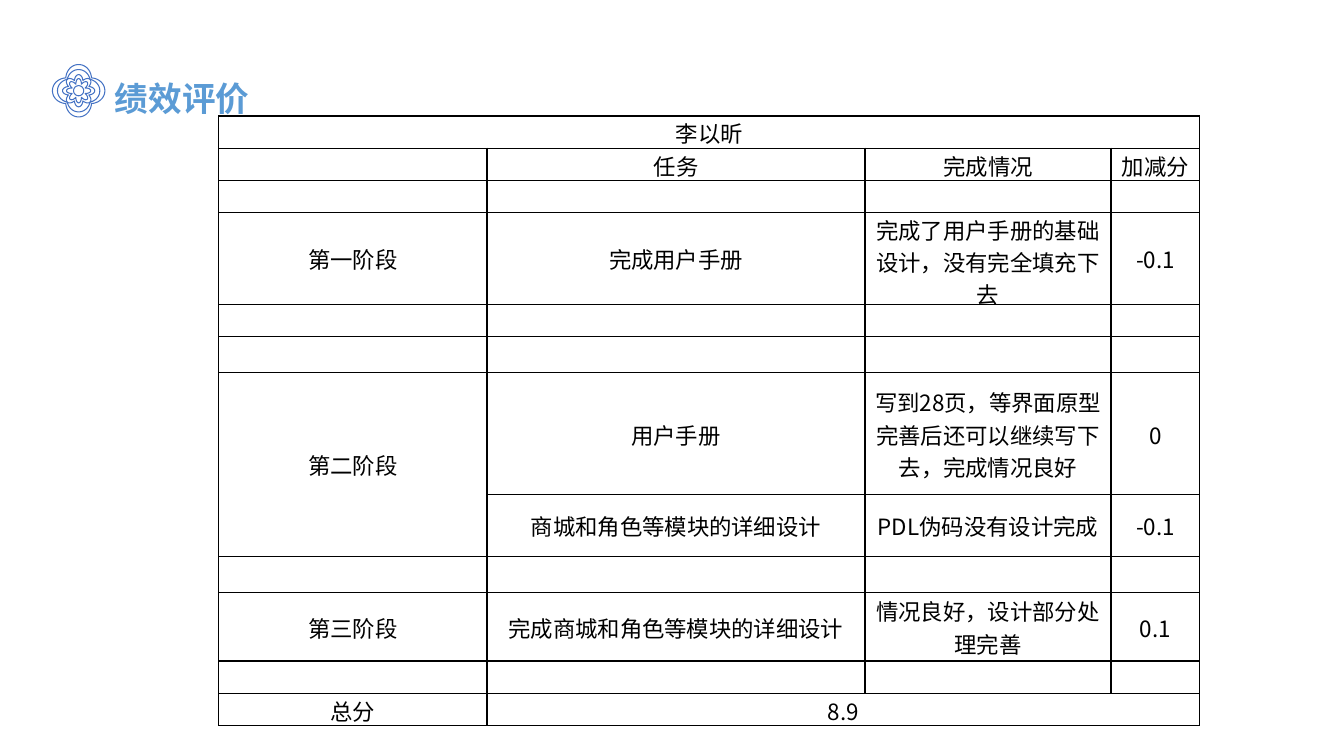
from math import cos, pi, sin

from pptx import Presentation
from pptx.dml.color import RGBColor
from pptx.enum.text import MSO_ANCHOR, PP_ALIGN
from pptx.oxml.ns import qn
from pptx.util import Inches, Pt
from lxml.etree import SubElement

TITLE_FONT = "Noto Sans CJK JP"
TABLE_FONT = "Noto Sans CJK SC"

COLS = [2.66, 3.75, 2.44, 0.88]
HEIGHTS = [0.32, 0.32, 0.32, 0.91, 0.32, 0.36, 1.21, 0.61, 0.36, 0.68, 0.32, 0.32]
BLANK = [""] * 4
ROWS = [
    ["李以昕", "", "", ""],
    ["", "任务", "完成情况", "加减分"],
    BLANK,
    ["第一阶段", "完成用户手册", "完成了用户手册的基础设计，没有完全填充下去", "-0.1"],
    BLANK,
    BLANK,
    ["第二阶段", "用户手册", "写到28页，等界面原型完善后还可以继续写下去，完成情况良好", "0"],
    ["", "商城和角色等模块的详细设计", "PDL伪码没有设计完成", "-0.1"],
    BLANK,
    ["第三阶段", "完成商城和角色等模块的详细设计", "情况良好，设计部分处理完善", "0.1"],
    BLANK,
    ["总分", "8.9", "", ""],
]
MERGES = [((0, 0), (0, 3)), ((6, 0), (7, 0)), ((11, 1), (11, 3))]

# Rings of the flower: inner radius, petal length, number of petals
RINGS = [(0.18, 0.08, 4), (0.16, 0.05, 4), (0.11, 0.05, 8), (0.07, 0.05, 8), (0.05, 0, 4)]


def color(code):
    return RGBColor.from_string(code)


def style(para, name, size, code, bold=False):
    font = para.font
    font.name, font.size, font.bold = name, Pt(size), bold
    font.color.rgb = color(code)
    props = para._p.pPr.find(qn("a:defRPr"))
    SubElement(props, qn("a:ea")).set("typeface", name)


def add_title(slide, text):
    box = slide.shapes.add_textbox(Inches(1.04), Inches(0.52), Inches(3.35), Inches(0.65))
    box.text_frame.word_wrap = True
    para = box.text_frame.paragraphs[0]
    para.text = text
    para.line_spacing = 1.5
    style(para, TITLE_FONT, 24, "5B9BD5", True)


def trace(x, y, base, reach, petals, steps=96):
    """Return points around x, y on a ring whose petals meet in cusps."""
    spots = []
    for i in range(steps):
        turn = 2 * pi * i / steps
        far = base + reach * abs(cos(petals * turn / 2))
        spots.append((Inches(x + far * cos(turn)), Inches(y + far * sin(turn))))
    return spots


def add_flower(slide, x, y):
    pen = None
    for ring in RINGS:
        start, *rest = trace(x, y, *ring)
        if pen is None:
            pen = slide.shapes.build_freeform(*start)
        else:
            pen.move_to(*start)
        pen.add_line_segments(rest, close=True)
    shape = pen.convert_to_shape()
    shape.shadow.inherit = False
    shape.fill.background()
    shape.line.color.rgb = color("4472C4")
    shape.line.width = Pt(0.75)


def add_border(cell, code):
    props = cell._tc.get_or_add_tcPr()
    for i, side in enumerate(["lnL", "lnR", "lnT", "lnB"]):
        line = props.makeelement(qn("a:" + side), {"w": str(Pt(1))})
        fill = SubElement(line, qn("a:solidFill"))
        SubElement(fill, qn("a:srgbClr")).set("val", code)
        props.insert(i, line)


def fill_cell(cell, text):
    cell.fill.solid()
    cell.fill.fore_color.rgb = color("FFFFFF")
    cell.vertical_anchor = MSO_ANCHOR.MIDDLE
    cell.margin_left = cell.margin_right = cell.margin_top = Inches(0.01)
    cell.margin_bottom = 0
    add_border(cell, "000000")
    para = cell.text_frame.paragraphs[0]
    para.text = text
    para.alignment = PP_ALIGN.CENTER
    style(para, TABLE_FONT, 16, "000000")
    if not text:
        SubElement(para._p, qn("a:endParaRPr")).set("sz", "1600")


def add_grid(slide):
    frame = slide.shapes.add_table(
        len(ROWS), len(COLS), Inches(2.17), Inches(1.15),
        Inches(sum(COLS)), Inches(sum(HEIGHTS)))
    table = frame.table
    table.first_row = table.horz_banding = False
    for col, width in zip(table.columns, COLS):
        col.width = Inches(width)
    for row, height, texts in zip(table.rows, HEIGHTS, ROWS):
        row.height = Inches(height)
        for cell, text in zip(row.cells, texts):
            fill_cell(cell, text)
    for start, end in MERGES:
        table.cell(*start).merge(table.cell(*end))


def main():
    deck = Presentation()
    deck.slide_width, deck.slide_height = Inches(13.33), Inches(7.5)
    slide = deck.slides.add_slide(deck.slide_layouts[6])
    add_title(slide, "绩效评价")
    add_flower(slide, 0.78, 0.9)
    add_grid(slide)
    deck.save("out.pptx")


if __name__ == "__main__":
    main()
